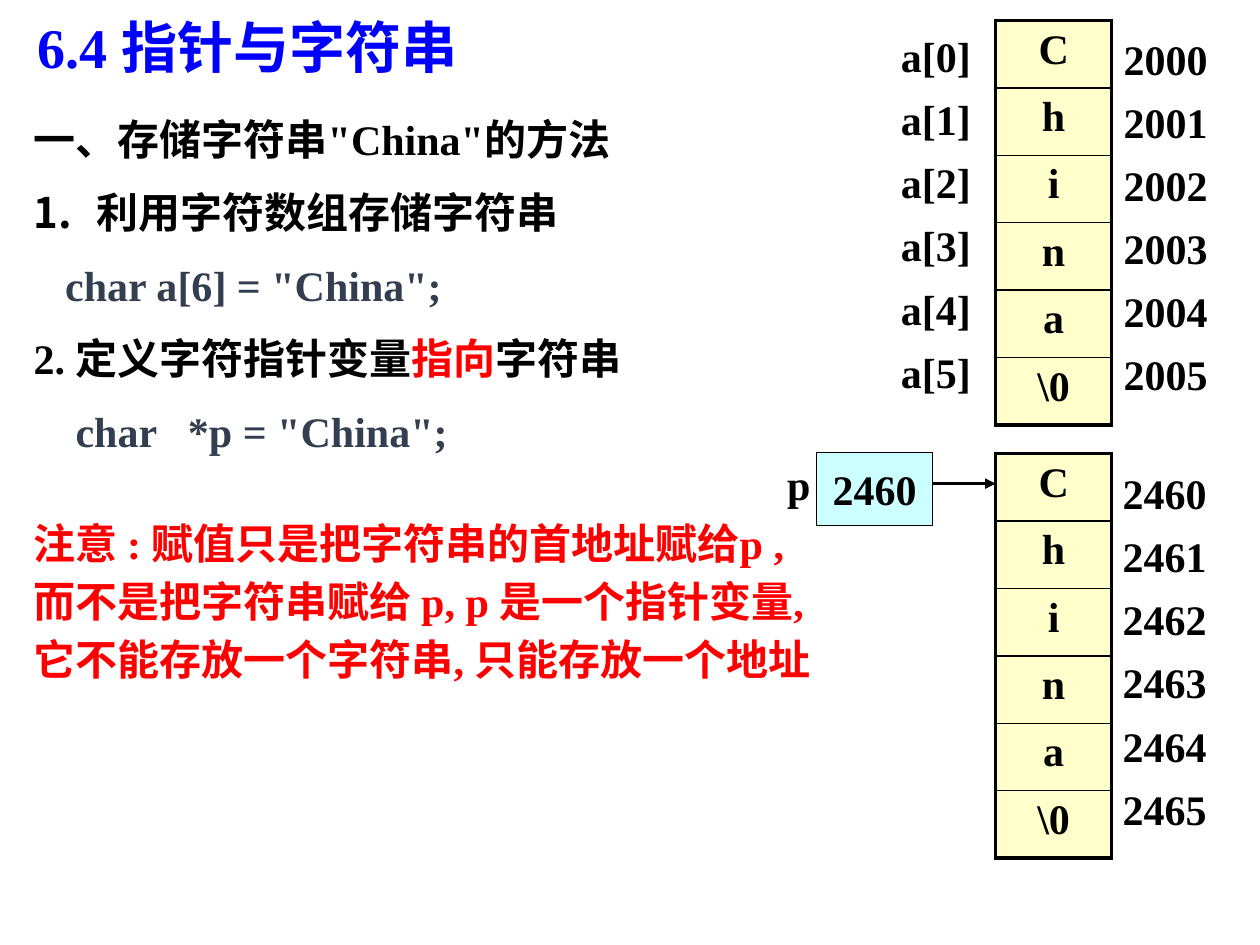
from dataclasses import dataclass

from lxml import etree
from pptx import Presentation
from pptx.dml.color import RGBColor
from pptx.enum.shapes import MSO_CONNECTOR, MSO_SHAPE
from pptx.enum.text import MSO_ANCHOR, PP_ALIGN
from pptx.oxml.ns import qn
from pptx.util import Cm, Pt

RECTANGLE = MSO_SHAPE.RECTANGLE
STRAIGHT = MSO_CONNECTOR.STRAIGHT
TOP, MIDDLE, BOTTOM = MSO_ANCHOR.TOP, MSO_ANCHOR.MIDDLE, MSO_ANCHOR.BOTTOM
LEFT, CENTER = PP_ALIGN.LEFT, PP_ALIGN.CENTER

COLORS = {
    "black": "000000",
    "red": "FF0000",
    "title": "0000FF",
    "code": "333F50",
    "cell": "FFFFCC",
    "pointer": "CCFFFF",
}
FONT = "Times New Roman"
PARAGRAPH_GAP = 13
CELL_WIDTH, CELL_HEIGHT = 2.34, 1.36
ARRAY_LEFT = 20.07
STORED = ["C", "h", "i", "n", "a", "\\0"]


@dataclass
class Span:
    text: str
    color: str = "black"


@dataclass
class Line:
    spans: list[Span]
    numbered: bool = False


@dataclass
class Area:
    left: float
    top: float
    width: float
    height: float

    def lengths(self) -> tuple:
        return Cm(self.left), Cm(self.top), Cm(self.width), Cm(self.height)


def rgb(color: str) -> RGBColor:
    return RGBColor.from_string(COLORS[color])


def plain(texts: list[str], color: str = "black") -> list[Line]:
    """One single-coloured line for each text."""
    return [Line([Span(text, color)]) for text in texts]


def number_paragraph(para) -> None:
    properties = para._p.get_or_add_pPr()
    properties.set("marL", str(Cm(1.27)))
    properties.set("indent", str(-Cm(1.27)))
    etree.SubElement(properties, qn("a:buAutoNum"), type="arabicPeriod")


def write(frame, lines: list[Line], *, size: int = 24, spacing: float = 1.0,
          align=LEFT, anchor=TOP, wrap: bool = True) -> None:
    frame.word_wrap = wrap
    frame.vertical_anchor = anchor
    for index, line in enumerate(lines):
        para = frame.add_paragraph() if index else frame.paragraphs[0]
        para.alignment = align
        para.line_spacing = spacing
        if index:
            para.space_before = Pt(PARAGRAPH_GAP)
        if line.numbered:
            number_paragraph(para)
        for span in line.spans:
            run = para.add_run()
            run.text = span.text
            run.font.name = FONT
            run.font.size = Pt(size)
            run.font.bold = True
            run.font.color.rgb = rgb(span.color)


def add_text(page, area: Area, lines: list[Line], **text_format) -> None:
    box = page.shapes.add_textbox(*area.lengths())
    write(box.text_frame, lines, **text_format)


def set_borders(cell, widths: dict[str, float]) -> None:
    properties = cell._tc.get_or_add_tcPr()
    for index, (side, width) in enumerate(widths.items()):
        border = etree.Element(qn(f"a:ln{side}"), w=str(Pt(width)))
        fill = etree.SubElement(border, qn("a:solidFill"))
        etree.SubElement(fill, qn("a:srgbClr"), val=COLORS["black"])
        properties.insert(index, border)


def add_array(page, top: float) -> None:
    """Memory cells that hold the stored characters."""
    count = len(STORED)
    area = Area(ARRAY_LEFT, top, CELL_WIDTH, CELL_HEIGHT * count)
    table = page.shapes.add_table(count, 1, *area.lengths()).table
    table.first_row = table.horz_banding = False
    for index, character in enumerate(STORED):
        table.rows[index].height = Cm(CELL_HEIGHT)
        cell = table.cell(index, 0)
        cell.fill.solid()
        cell.fill.fore_color.rgb = rgb("cell")
        write(cell.text_frame, plain([character]), align=CENTER)
        set_borders(cell, {
            "L": 2.25,
            "R": 2.25,
            "T": 2.25 if index == 0 else 1,
            "B": 2.25 if index == count - 1 else 1,
        })


def add_labels(page, left: float, top: float, texts: list[str]) -> None:
    add_text(page, Area(left, top, CELL_WIDTH, 7.75), plain(texts), spacing=0.8)


def add_pointer(page) -> None:
    box = page.shapes.add_shape(RECTANGLE, *Area(16.46, 9.12, CELL_WIDTH, 1.47).lengths())
    box.shadow.inherit = False
    box.fill.solid()
    box.fill.fore_color.rgb = rgb("pointer")
    box.line.color.rgb = rgb("black")
    box.line.width = Pt(0.75)
    write(box.text_frame, plain(["2460"]), align=CENTER, anchor=MIDDLE, wrap=False)
    add_text(page, Area(15.62, 9.12, 0.84, 1.3), plain(["p"]))

    arrow = page.shapes.add_connector(STRAIGHT, Cm(18.8), Cm(9.75), Cm(ARRAY_LEFT), Cm(9.75))
    arrow.line.color.rgb = rgb("black")
    arrow.line.width = Pt(1.5)
    etree.SubElement(arrow.line._get_or_add_ln(), qn("a:tailEnd"), type="triangle")
    etree.SubElement(arrow._element.spPr, qn("a:effectLst"))


def main() -> None:
    deck = Presentation()
    deck.slide_width, deck.slide_height = Cm(25.4), Cm(19.05)
    page = deck.slides.add_slide(deck.slide_layouts[6])

    add_text(page, Area(0.5, 0.33, 13.56, 1.42), plain(["6.4 指针与字符串"], "title"),
             size=32, spacing=0.9, anchor=BOTTOM)
    add_text(page, Area(0.43, 2.16, 15.6, 7.44), [
        Line([Span("一、存储字符串\"China\"的方法")]),
        Line([Span("利用字符数组存储字符串")], numbered=True),
        Line([Span("   char a[6] = \"China\";", "code")]),
        Line([Span("2. 定义字符指针变量"), Span("指向", "red"), Span("字符串")]),
        Line([Span("    char   *p = \"China\";", "code")]),
    ])
    add_text(page, Area(0.43, 10.59, 16.94, 3.43), plain([
        "注意 : 赋值只是把字符串的首地址赋给p ,",
        "而不是把字符串赋给 p, p 是一个指针变量,",
        "它不能存放一个字符串, 只能存放一个地址",
    ], "red"), spacing=0.7)

    indexes = range(len(STORED))
    add_array(page, 0.41)
    add_labels(page, 17.91, 0.69, [f"a[{index}]" for index in indexes])
    add_labels(page, 22.4, 0.74, [str(2000 + index) for index in indexes])

    add_array(page, 9.14)
    add_labels(page, 22.38, 9.5, [str(2460 + index) for index in indexes])
    add_pointer(page)

    deck.save("out.pptx")


if __name__ == "__main__":
    main()
